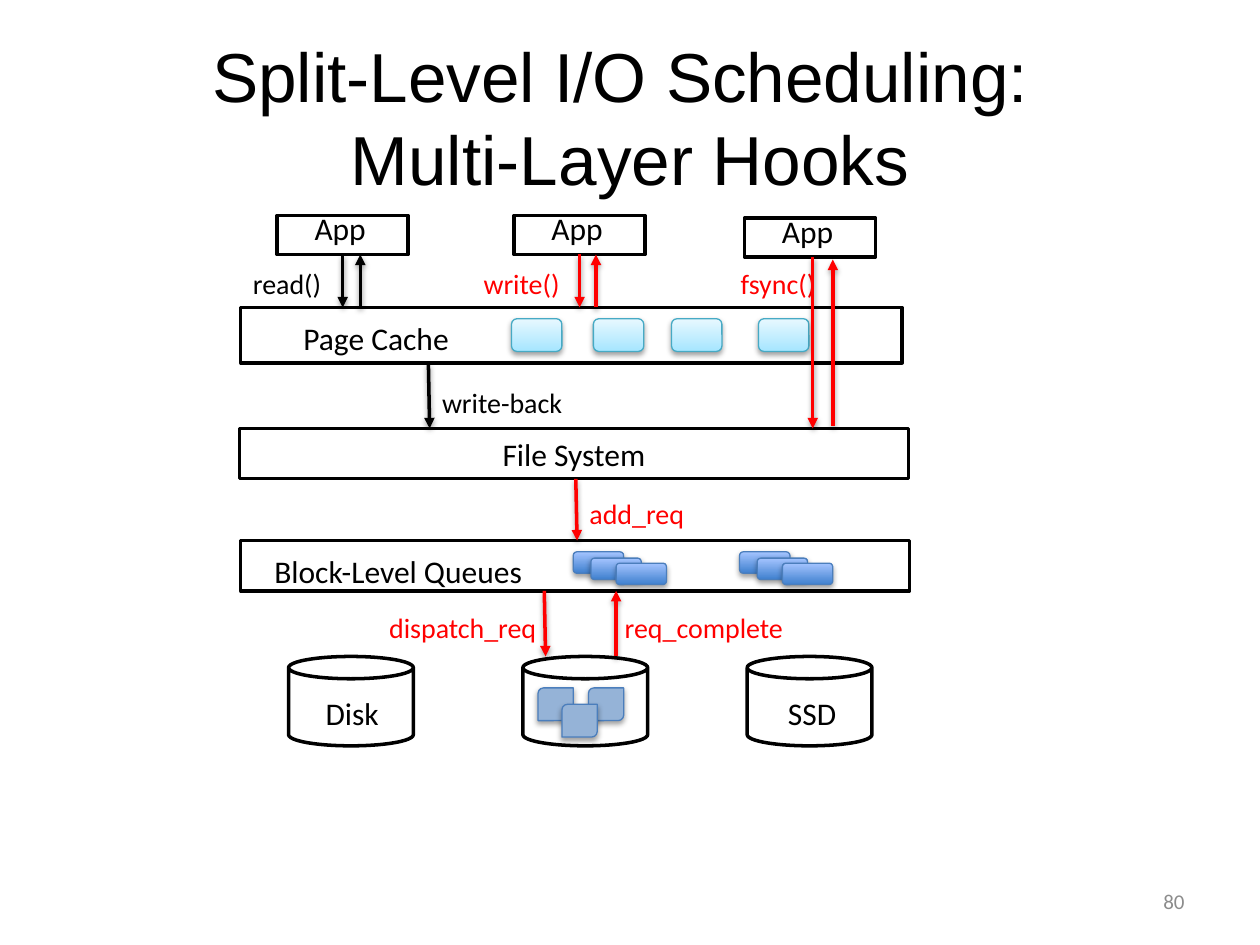
from dataclasses import dataclass

from lxml import etree
from pptx import Presentation
from pptx.dml.color import RGBColor
from pptx.enum.shapes import MSO_CONNECTOR, MSO_SHAPE
from pptx.enum.text import MSO_ANCHOR, PP_ALIGN
from pptx.oxml.ns import qn
from pptx.util import Inches, Pt

RECT, ROUND, CAN = MSO_SHAPE.RECTANGLE, MSO_SHAPE.ROUNDED_RECTANGLE, MSO_SHAPE.CAN
DIAGONAL = MSO_SHAPE.ROUND_2_DIAG_RECTANGLE
STRAIGHT = MSO_CONNECTOR.STRAIGHT
LEFT, CENTER, RIGHT = PP_ALIGN.LEFT, PP_ALIGN.CENTER, PP_ALIGN.RIGHT
TOP, MIDDLE = MSO_ANCHOR.TOP, MSO_ANCHOR.MIDDLE


@dataclass(frozen=True)
class Theme:
    black: str = "000000"
    white: str = "FFFFFF"
    red: str = "FF0000"
    gray: str = "8C8C8C"
    page_fill: tuple = ("A7E6FF", "E7F8FF")
    page_line: str = "46AAC5"
    request_fill: tuple = ("3F80CE", "A4C4FF")
    block_fill: str = "95B3D7"
    block_line: str = "4B7EBC"
    title_font: str = "Arial"
    body_font: str = "Calibri"
    title_size: float = 39.6
    label_size: float = 18
    call_size: float = 16
    number_size: float = 12
    thick: float = 2
    thin: float = 0.75


def rgb(value):
    return RGBColor.from_string(value)


def write_text(tf, text, *, font, size, color, align=LEFT, anchor=TOP):
    tf.word_wrap = True
    tf.vertical_anchor = anchor
    p = tf.paragraphs[0]
    p.text = text
    p.alignment = align
    for r in p.runs:
        r.font.name = font
        r.font.size = Pt(size)
        r.font.color.rgb = rgb(color)


def add_shadow(effects, opacity):
    """Put a soft shadow falling straight down into an effect list."""
    shadow = etree.SubElement(effects, qn("a:outerShdw"), blurRad=str(Pt(3.1)),
                              dist=str(Pt(1.7)), dir="5400000", rotWithShape="0")
    color = etree.SubElement(shadow, qn("a:srgbClr"), val="000000")
    etree.SubElement(color, qn("a:alpha"), val=str(opacity * 1000))


class Diagram:
    def __init__(self, slide, theme):
        self.slide = slide
        self.theme = theme

    def text(self, text, x, y, w, h, **fmt):
        t = self.theme
        box = self.slide.shapes.add_textbox(Inches(x), Inches(y), Inches(w), Inches(h))
        fmt = {"font": t.body_font, "size": t.label_size, "color": t.black,
               "align": CENTER, **fmt}
        write_text(box.text_frame, text, **fmt)

    def call(self, text, x, y, w, color):
        self.text(text, x, y, w, 0.36, size=self.theme.call_size, color=color, align=LEFT)

    def shape(self, kind, x, y, w, h, fill, line, width):
        sp = self.slide.shapes.add_shape(kind, Inches(x), Inches(y), Inches(w), Inches(h))
        sp.shadow.inherit = False
        if isinstance(fill, tuple):
            sp.fill.gradient()
            sp.fill.gradient_angle = 90
            for stop, color in zip(sp.fill.gradient_stops, fill):
                stop.color.rgb = rgb(color)
        else:
            sp.fill.solid()
            sp.fill.fore_color.rgb = rgb(fill)
        sp.line.color.rgb = rgb(line)
        sp.line.width = Pt(width)
        return sp

    def outline(self, kind, x, y, w, h):
        t = self.theme
        self.shape(kind, x, y, w, h, t.white, t.black, t.thick)

    def token(self, kind, x, y, w, h, fill, line):
        """Draw a small shaded block of data."""
        sp = self.shape(kind, x, y, w, h, fill, line, self.theme.thin)
        add_shadow(sp._element.spPr.find(qn("a:effectLst")), 36)

    def arrow(self, x1, y1, x2, y2, color):
        line = self.slide.shapes.add_connector(
            STRAIGHT, Inches(x1), Inches(y1), Inches(x2), Inches(y2))
        line.line.color.rgb = rgb(color)
        line.line.width = Pt(self.theme.thick)
        sp_pr = line._element.spPr
        etree.SubElement(sp_pr.find(qn("a:ln")), qn("a:tailEnd"), type="triangle")
        add_shadow(etree.SubElement(sp_pr, qn("a:effectLst")), 38)


def draw_layers(d):
    for x, y in ((2.2, 1.71), (4.08, 1.71), (5.91, 1.73)):
        d.outline(RECT, x, y, 1.04, 0.31)
        d.text("App", x - 0.02, y - 0.1, 1.04, 0.23)

    d.outline(RECT, 1.91, 2.44, 5.25, 0.44)
    d.text("Page Cache", 1.9, 2.48, 2.17, 0.32)
    d.outline(RECT, 1.9, 3.4, 5.31, 0.4)
    d.text("File System", 1.9, 3.4, 5.31, 0.25)
    d.outline(RECT, 1.91, 4.29, 5.31, 0.4)
    d.text("Block-Level Queues", 1.92, 4.33, 2.48, 0.32)

    for x in (2.29, 4.15, 5.93):
        d.outline(CAN, x, 5.21, 0.99, 0.71)
    for name, x in (("Disk", 2.35), ("SSD", 6)):
        d.text(name, x, 5.46, 0.89, 0.32)


def draw_data(d):
    t = d.theme
    for x in (4.06, 4.71, 5.33, 6.02):
        d.token(ROUND, x, 2.53, 0.4, 0.26, t.page_fill, t.page_line)
    for queue_x in (4.55, 5.87):
        for dx, y in ((0, 4.38), (0.14, 4.43), (0.34, 4.47)):
            d.token(ROUND, queue_x + dx, y, 0.4, 0.17, t.request_fill, t.block_line)
    for x, y in ((4.27, 5.46), (4.67, 5.46), (4.46, 5.59)):
        d.token(DIAGONAL, x, y, 0.28, 0.26, t.block_fill, t.block_line)


def draw_calls(d):
    black, red = d.theme.black, d.theme.red
    for text, x, y, w, color in (
        ("read()", 1.91, 2.07, 0.8, black),
        ("write()", 3.74, 2.07, 0.9, red),
        ("fsync()", 5.78, 2.07, 0.81, red),
        ("write-back", 3.41, 3.01, 1.32, black),
        ("add_req", 4.58, 3.89, 1.02, red),
        ("dispatch_req", 2.99, 4.8, 1.48, red),
        ("req_complete", 4.86, 4.8, 1.55, red),
    ):
        d.call(text, x, y, w, color)

    for x1, y1, x2, y2, color in (
        (2.72, 2.02, 2.72, 2.44, black),
        (2.86, 2.44, 2.86, 2.02, black),
        (4.6, 2.02, 4.6, 2.44, red),
        (4.73, 2.44, 4.73, 2.02, red),
        (6.45, 2.04, 6.45, 3.4, red),
        (6.61, 3.38, 6.61, 2.06, red),
        (3.4, 2.89, 3.41, 3.4, black),
        (4.57, 3.8, 4.58, 4.29, red),
        (4.32, 4.69, 4.33, 5.21, red),
        (4.89, 5.21, 4.89, 4.69, red),
    ):
        d.arrow(x1, y1, x2, y2, color)


def main():
    prs = Presentation()
    prs.slide_width, prs.slide_height = Inches(10), Inches(7.5)
    theme = Theme()
    d = Diagram(prs.slides.add_slide(prs.slide_layouts[6]), theme)
    d.text("Split-Level I/O Scheduling: \vMulti-Layer Hooks", 0.5, 0.3, 9, 1.25,
           font=theme.title_font, size=theme.title_size, anchor=MIDDLE)
    draw_layers(d)
    draw_data(d)
    draw_calls(d)
    d.text("80", 7.17, 6.95, 2.33, 0.4, size=theme.number_size,
           color=theme.gray, align=RIGHT, anchor=MIDDLE)
    prs.save("out.pptx")


if __name__ == "__main__":
    main()
